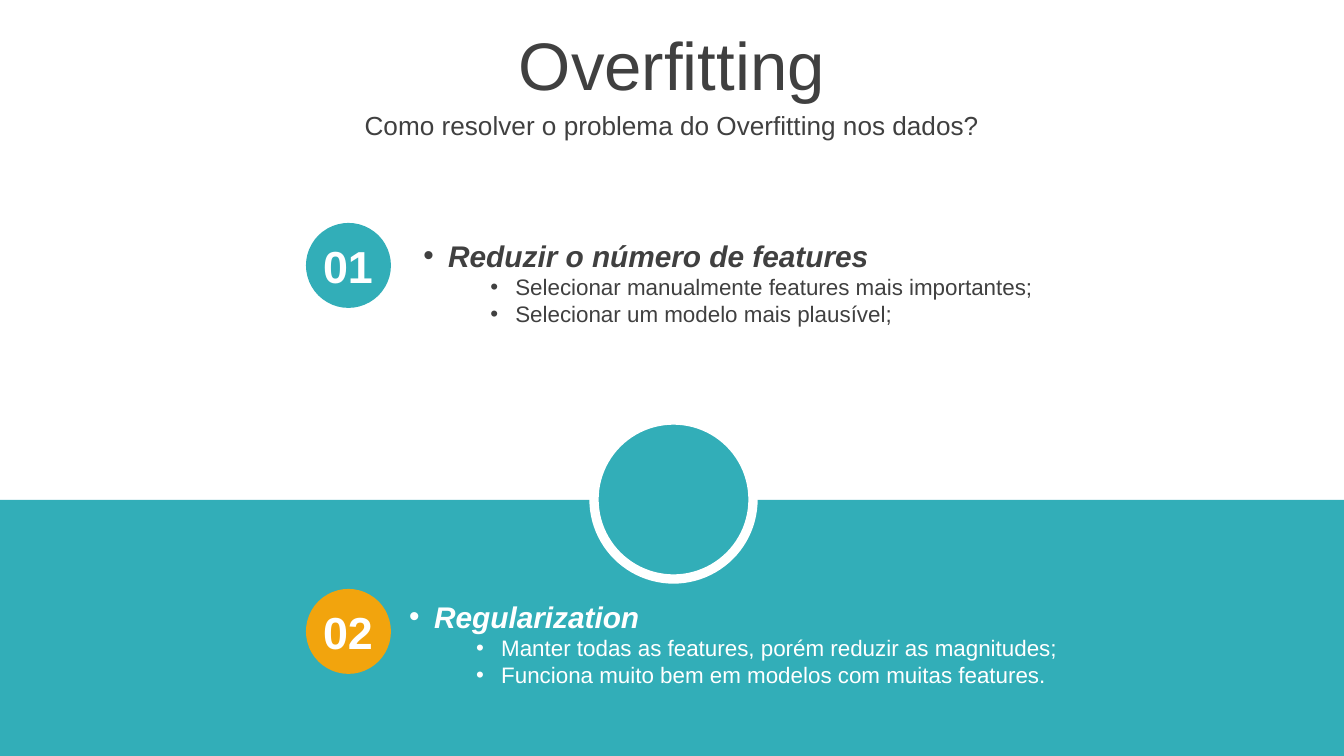
from lxml.etree import SubElement
from pptx import Presentation
from pptx.dml.color import RGBColor
from pptx.enum.shapes import MSO_SHAPE
from pptx.enum.text import MSO_ANCHOR, PP_ALIGN
from pptx.oxml.ns import qn
from pptx.util import Emu, Pt

SCALE = 914400 / 134.4
FONT = "Arial"
COLORS = {"teal": "32AEB8", "orange": "F2A40D", "white": "FFFFFF", "dark": "404040"}
BADGE = 85


def px(n):
    """Turn picture pixels into EMU."""
    return Emu(round(n * SCALE))


def rgb(name):
    """Look up a palette colour."""
    return RGBColor.from_string(COLORS[name])


def add_shape(s, kind, box, fill, line=None, width=5):
    """Add a flat filled shape, outlined only if a line colour is given."""
    sp = s.shapes.add_shape(kind, *map(px, box))
    sp.shadow.inherit = False
    sp.fill.solid()
    sp.fill.fore_color.rgb = rgb(fill)
    if line:
        sp.line.color.rgb = rgb(line)
        sp.line.width = Pt(width)
    else:
        sp.line.fill.background()
    return sp


def add_box(s, box, anchor=MSO_ANCHOR.TOP):
    """Add a wrapping text box and return its text frame."""
    tf = s.shapes.add_textbox(*map(px, box)).text_frame
    tf.word_wrap = True
    tf.vertical_anchor = anchor
    return tf


def style(p, size, color, bold=False, italic=False):
    """Format every run of a paragraph."""
    for r in p.runs:
        f = r.font
        f.name, f.size, f.bold, f.italic = FONT, Pt(size), bold, italic
        f.color.rgb = rgb(color)


def add_centred(s, box, text, size, color, bold=False):
    """Add one centred line of text."""
    tf = add_box(s, box, MSO_ANCHOR.MIDDLE)
    p = tf.paragraphs[0]
    p.text = text
    p.alignment = PP_ALIGN.CENTER
    style(p, size, color, bold)


def set_bullet(p, margin, hanging=25):
    """Give a paragraph a hanging round bullet."""
    pPr = p._p.get_or_add_pPr()
    pPr.set("marL", str(px(margin)))
    pPr.set("indent", str(-px(hanging)))
    SubElement(pPr, qn("a:buFont"), typeface=FONT)
    SubElement(pPr, qn("a:buChar"), char="•")


def add_bullets(s, box, lines, color):
    """Add a bold italic heading bullet with plain bullets below it."""
    tf = add_box(s, box)
    tf.text = "\n".join(lines)
    for i, p in enumerate(tf.paragraphs):
        head = i == 0
        p.level = 0 if head else 1
        set_bullet(p, 25 if head else 92)
        style(p, 16 if head else 12, color, head, head)


def add_badge(s, top, number, fill):
    """Add a numbered disc."""
    add_shape(s, MSO_SHAPE.OVAL, (306, top, BADGE, BADGE), fill)
    add_centred(s, (301, top + 9, 94, 67), number, 24, "white", True)


def main():
    """Build and save the slide."""
    prs = Presentation()
    prs.slide_width, prs.slide_height = px(1344), px(756)
    s = prs.slides.add_slide(prs.slide_layouts[6])

    add_shape(s, MSO_SHAPE.RECTANGLE, (0, 500, 1344, 256), "teal")
    add_shape(s, MSO_SHAPE.OVAL, (594, 420, 159, 159), "teal", "white")
    add_centred(s, (0, 21, 1344, 85), "Overfitting", 36, "dark")
    add_centred(s, (0, 104, 1344, 42),
                "Como resolver o problema do Overfitting nos dados?", 14, "dark")

    add_badge(s, 223, "01", "teal")
    add_bullets(s, (410, 231, 642, 103), [
        "Reduzir o número de features",
        "Selecionar manualmente features mais importantes;",
        "Selecionar um modelo mais plausível;"], "dark")

    add_badge(s, 589, "02", "orange")
    add_bullets(s, (396, 592, 777, 103), [
        "Regularization",
        "Manter todas as features, porém reduzir as magnitudes;",
        "Funciona muito bem em modelos com muitas features."], "white")

    prs.save("out.pptx")


main()
